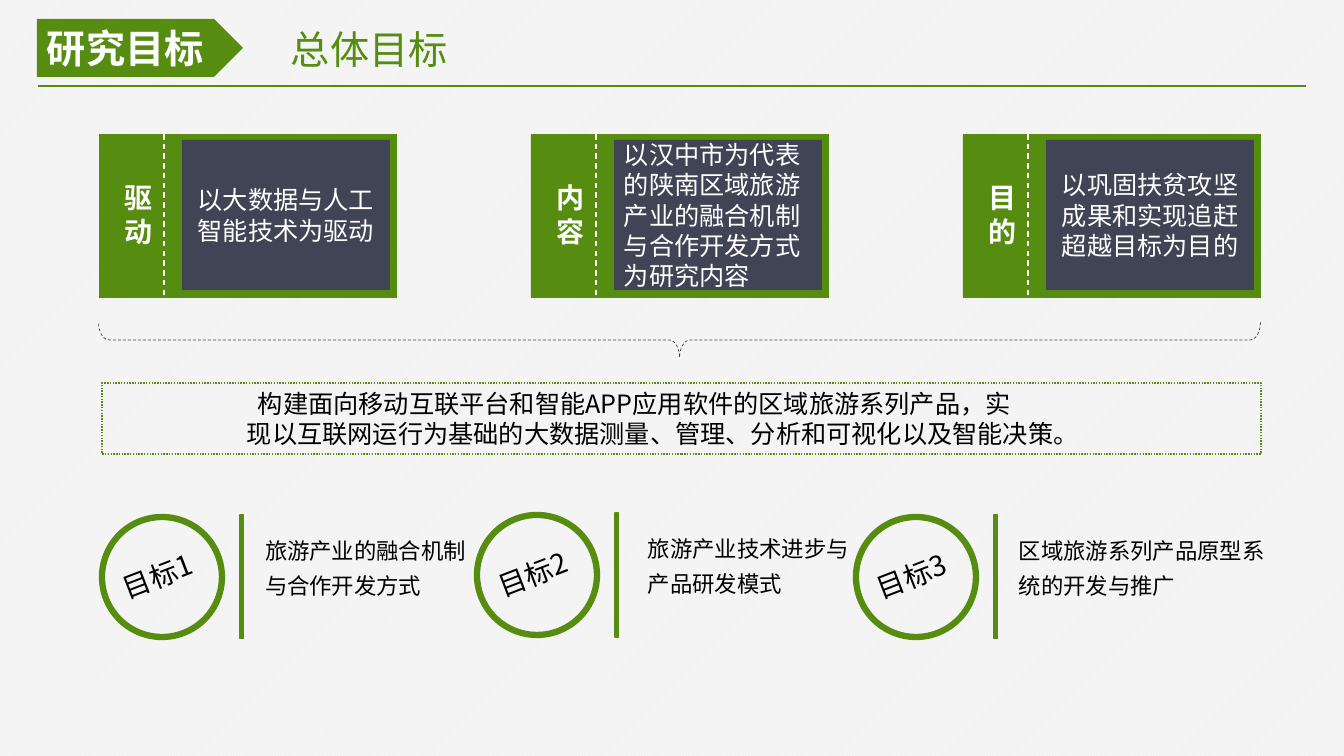
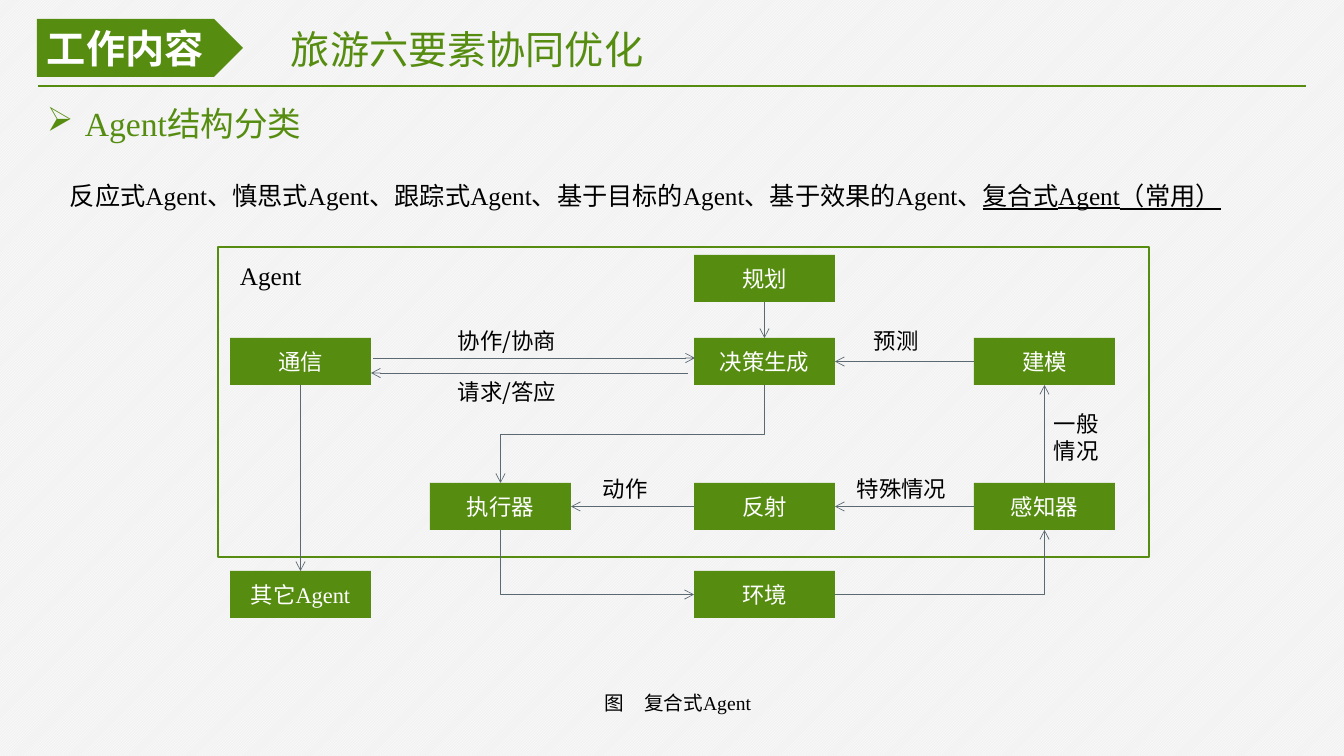
import dataclasses

import lxml.etree
import pptx
import pptx.dml.color
import pptx.enum.dml
import pptx.enum.shapes
import pptx.enum.text
import pptx.oxml.ns
import pptx.util

SHAPE = pptx.enum.shapes.MSO_SHAPE
LINK = pptx.enum.shapes.MSO_CONNECTOR
DASH = pptx.enum.dml.MSO_LINE
ALIGN = pptx.enum.text.PP_ALIGN
ANCHOR = pptx.enum.text.MSO_ANCHOR
TOP, LEFT, BOTTOM, RIGHT = range(4)


@dataclasses.dataclass(frozen=True)
class Theme:
    """Colours, fonts and type sizes."""
    green: str = "568D11"
    slate: str = "414455"
    grey: str = "5B6973"
    white: str = "FFFFFF"
    black: str = "000000"
    paper: str = "F2F2F2"
    sans: str = "Noto Sans CJK SC"
    serif: str = "Times New Roman"
    title: int = 28
    head: int = 24
    label: int = 20
    body: int = 18
    small: int = 16
    note: int = 14


def px(num):
    """Turn pixels into EMU."""
    return pptx.util.Emu(round(num * 914400 / 100.8))


def rgb(code):
    """Turn a hex code into a colour."""
    return pptx.dml.color.RGBColor.from_string(code)


def add(node, tag, **attrs):
    """Append a child element."""
    return lxml.etree.SubElement(node, pptx.oxml.ns.qn(tag), attrs)


class Deck:
    """Hold the style and the current slide."""

    def __init__(self, theme):
        """Start an empty deck."""
        self.theme = theme
        self.file = pptx.Presentation()
        self.file.slide_width, self.file.slide_height = px(1344), px(756)
        self.page = None

    def slide(self, part, title):
        """Add a slide with its background and title band."""
        t = self.theme
        self.page = self.file.slides.add_slide(self.file.slide_layouts[6])
        fill = self.page.background.fill
        fill.patterned()
        fill.pattern = pptx.enum.dml.MSO_PATTERN.LIGHT_UPWARD_DIAGONAL
        fill.fore_color.rgb, fill.back_color.rgb = rgb(t.white), rgb(t.paper)
        tag = self.shape(SHAPE.PENTAGON, 37, 19, 206, 58, fill=t.green)
        self.label(tag, part, t.title, t.white, bold=True)
        self.text(title, 281, 20, 787, 57, t.title, t.green)
        self.line((38, 86), (1306, 86), t.green, 1)

    def shape(self, kind, x, y, w, h, fill=None, line=None, width=1, dash=None):
        """Add a preset shape."""
        item = self.page.shapes.add_shape(kind, px(x), px(y), px(w), px(h))
        item.shadow.inherit = False
        if fill:
            item.fill.solid()
            item.fill.fore_color.rgb = rgb(fill)
        else:
            item.fill.background()
        if line:
            self.stroke(item, line, width, dash)
        else:
            item.line.fill.background()
        return item

    def stroke(self, item, color, width, dash=None):
        """Set the outline of a shape or connector."""
        item.line.color.rgb = rgb(color)
        item.line.width = pptx.util.Pt(width)
        if dash:
            item.line.dash_style = dash

    def label(self, item, text, size, color, font=None, align=ALIGN.LEFT,
              anchor=ANCHOR.MIDDLE, bold=False):
        """Put one paragraph into a shape."""
        frame = item.text_frame
        frame.word_wrap = True
        frame.vertical_anchor = anchor
        para = frame.paragraphs[0]
        para.text = text
        para.alignment = align
        para.font.size = pptx.util.Pt(size)
        para.font.color.rgb = rgb(color)
        para.font.bold = bold
        para.font.name = font or self.theme.sans
        add(para.font._rPr, "a:ea", typeface=self.theme.sans)

    def text(self, text, x, y, w, h, size, color=None, **style):
        """Add a text box."""
        box = self.page.shapes.add_textbox(px(x), px(y), px(w), px(h))
        style.setdefault("anchor", ANCHOR.TOP)
        self.label(box, text, size, color or self.theme.black, **style)
        return box

    def indent(self, item, margin, first, mark=None):
        """Indent the first paragraph, with a bullet if one is given."""
        props = item.text_frame.paragraphs[0]._p.get_or_add_pPr()
        props.set("marL", str(px(margin)))
        props.set("indent", str(px(first)))
        if mark:
            tint = lxml.etree.Element(pptx.oxml.ns.qn("a:buClr"))
            add(tint, "a:srgbClr", val=self.theme.green)
            sign = lxml.etree.Element(pptx.oxml.ns.qn("a:buChar"), char=mark)
            props.insert(0, tint)
            props.insert(1, sign)

    def line(self, start, end, color, width, dash=None, arrow=False,
             kind=LINK.STRAIGHT):
        """Add a connector between two points."""
        link = self.page.shapes.add_connector(kind, *map(px, start + end))
        self.stroke(link, color, width, dash)
        if arrow:
            add(link.line._get_or_add_ln(), "a:tailEnd", type="arrow")
        add(link._element.spPr, "a:effectLst")
        return link

    def arrow(self, start, end, kind=LINK.STRAIGHT):
        """Add a thin arrow between two points."""
        return self.line(start, end, self.theme.grey, 0.5, arrow=True, kind=kind)

    def join(self, one, out, two, into, kind=LINK.STRAIGHT):
        """Add an arrow from a side of one box to a side of another."""
        link = self.arrow((0, 0), (0, 0), kind)
        link.begin_connect(one, out)
        link.end_connect(two, into)
        return link

    def bend(self, one, out, two, into, preset):
        """Add a bent arrow, turned when it leaves downwards."""
        link = self.join(one, out, two, into, LINK.ELBOW)
        props = link._element.spPr
        props.find(pptx.oxml.ns.qn("a:prstGeom")).set("prst", preset)
        if out == BOTTOM:
            wide, tall = link.width, link.height
            right = link.end_x > link.begin_x
            link.left += (wide - tall) // 2
            link.top += (tall - wide) // 2
            link.width, link.height = tall, wide
            link.rotation = 90
            props.xfrm.flipH, props.xfrm.flipV = False, right

    def box(self, text, x, y):
        """Add a green node of the diagram."""
        t = self.theme
        item = self.shape(SHAPE.RECTANGLE, x, y, 141, 47, fill=t.green)
        self.label(item, text, t.small, t.white, align=ALIGN.CENTER,
                   font=t.serif)
        return item

    def card(self, name, text, x, align):
        """Add a green card with a dark panel."""
        t = self.theme
        self.shape(SHAPE.RECTANGLE, x, 134, 298, 164, fill=t.green)
        panel = self.shape(SHAPE.RECTANGLE, x + 83, 140, 208, 150, fill=t.slate)
        self.label(panel, text, t.body, t.white, align=align)
        self.text(name, x + 16, 176, 38, 78, t.label, t.white, bold=True)
        self.line((x + 65, 134), (x + 65, 297), t.white, 1, DASH.DASH)

    def goal(self, name, text, x, y, left, wide):
        """Add a ringed goal with its bar and text."""
        t = self.theme
        self.shape(SHAPE.OVAL, x, y, 120, 120, line=t.green, width=4.5)
        tilt = self.text(name, x - 6, y + 37, 123, 44, t.label,
                         align=ALIGN.CENTER)
        tilt.rotation = 338.9
        self.shape(SHAPE.RECTANGLE, x + 138, y - 2, 4, 124, fill=t.green,
                   line=t.green, width=0.75)
        body = self.text(text, left, y + 8, wide, 80, t.small)
        frame = body.text_frame
        frame.margin_left = frame.margin_right = px(9)
        frame.margin_top = frame.margin_bottom = px(4)
        frame.paragraphs[0].line_spacing = 1.3


def goals(deck):
    """Build the slide of research goals."""
    t = deck.theme
    deck.slide("研究目标", "总体目标")
    cards = [
        ("驱动", "以大数据与人工智能技术为驱动", ALIGN.CENTER),
        ("内容", "以汉中市为代表的陕南区域旅游产业的融合机制与合作开发方式为研究内容",
         ALIGN.LEFT),
        ("目的", "以巩固扶贫攻坚成果和实现追赶超越目标为目的", ALIGN.CENTER),
    ]
    for num, (name, text, align) in enumerate(cards):
        deck.card(name, text, 99 + 432 * num, align)
    brace = deck.shape(SHAPE.RIGHT_BRACE, 662, -241, 35, 1162, line=t.slate,
                       width=0.5, dash=DASH.DASH)
    brace.rotation = 90
    brace.adjustments[0], brace.adjustments[1] = 0.3, 0.5
    aim = deck.shape(SHAPE.RECTANGLE, 102, 383, 1159, 71, line=t.green,
                     dash=DASH.ROUND_DOT)
    deck.label(aim, "构建面向移动互联平台和智能APP应用软件的区域旅游系列产品，实\v"
               "现以互联网运行为基础的大数据测量、管理、分析和可视化以及智能决策。",
               t.body, t.black, anchor=ANCHOR.TOP)
    deck.indent(aim, 135, 11)
    deck.goal("目标1", "旅游产业的融合机制与合作开发方式", 102, 517, 256, 236)
    deck.goal("目标2", "旅游产业技术进步与产品研发模式", 477, 515, 639, 232)
    deck.goal("目标3", "区域旅游系列产品原型系统的开发与推广", 856, 517, 1010, 265)


def agents(deck):
    """Build the slide of the agent diagram."""
    t = deck.theme
    deck.slide("工作内容", "旅游六要素协同优化")
    head = deck.text("Agent结构分类", 37, 98, 1269, 50, t.head, t.green,
                     font=t.serif)
    deck.indent(head, 38, -38, "➢")
    kinds = deck.text("反应式Agent、慎思式Agent、跟踪式Agent、"
                      "基于目标的Agent、基于效果的Agent、",
                      60, 175, 1260, 40, t.body, font=t.serif)
    last = kinds.text_frame.paragraphs[0].add_run()
    last.text = "复合式Agent（常用）"
    last.font.underline = True

    deck.shape(SHAPE.RECTANGLE, 218, 247, 931, 310, line=t.green)
    plan = deck.box("规划", 694, 255)
    talk, choose, model = [deck.box(name, x, 338) for name, x in
                           (("通信", 230), ("决策生成", 694), ("建模", 974))]
    act, reflex, sense = [deck.box(name, x, 483) for name, x in
                          (("执行器", 430), ("反射", 694), ("感知器", 974))]
    other, world = [deck.box(name, x, 571) for name, x in
                    (("其它Agent", 230), ("环境", 694))]

    for ends in (
        (model, LEFT, choose, RIGHT),
        (sense, LEFT, reflex, RIGHT),
        (sense, TOP, model, BOTTOM),
        (reflex, LEFT, act, RIGHT),
        (plan, BOTTOM, choose, TOP),
        (talk, BOTTOM, other, TOP),
    ):
        deck.join(*ends)
    deck.arrow((373, 358), (695, 358))
    deck.arrow((688, 373), (371, 373))
    deck.bend(world, RIGHT, sense, BOTTOM, "bentConnector2")
    deck.bend(act, BOTTOM, world, LEFT, "bentConnector2")
    deck.bend(choose, BOTTOM, act, TOP, "bentConnector3")

    for text, x, y, w, h in (
        ("协作/协商", 448, 322, 172, 37),
        ("请求/答应", 448, 373, 172, 37),
        ("预测", 864, 322, 82, 37),
        ("特殊情况", 847, 470, 115, 37),
        ("一般情况", 1044, 405, 71, 64),
        ("动作", 593, 470, 80, 37),
    ):
        deck.text(text, x, y, w, h, t.small)
    deck.text("Agent", 230, 255, 172, 40, t.body, font=t.serif)
    deck.text("图　复合式Agent", 445, 686, 466, 36, t.note, font=t.serif,
              align=ALIGN.CENTER)


def main():
    """Build and save the deck."""
    deck = Deck(Theme())
    goals(deck)
    agents(deck)
    deck.file.save("out.pptx")


if __name__ == "__main__":
    main()
